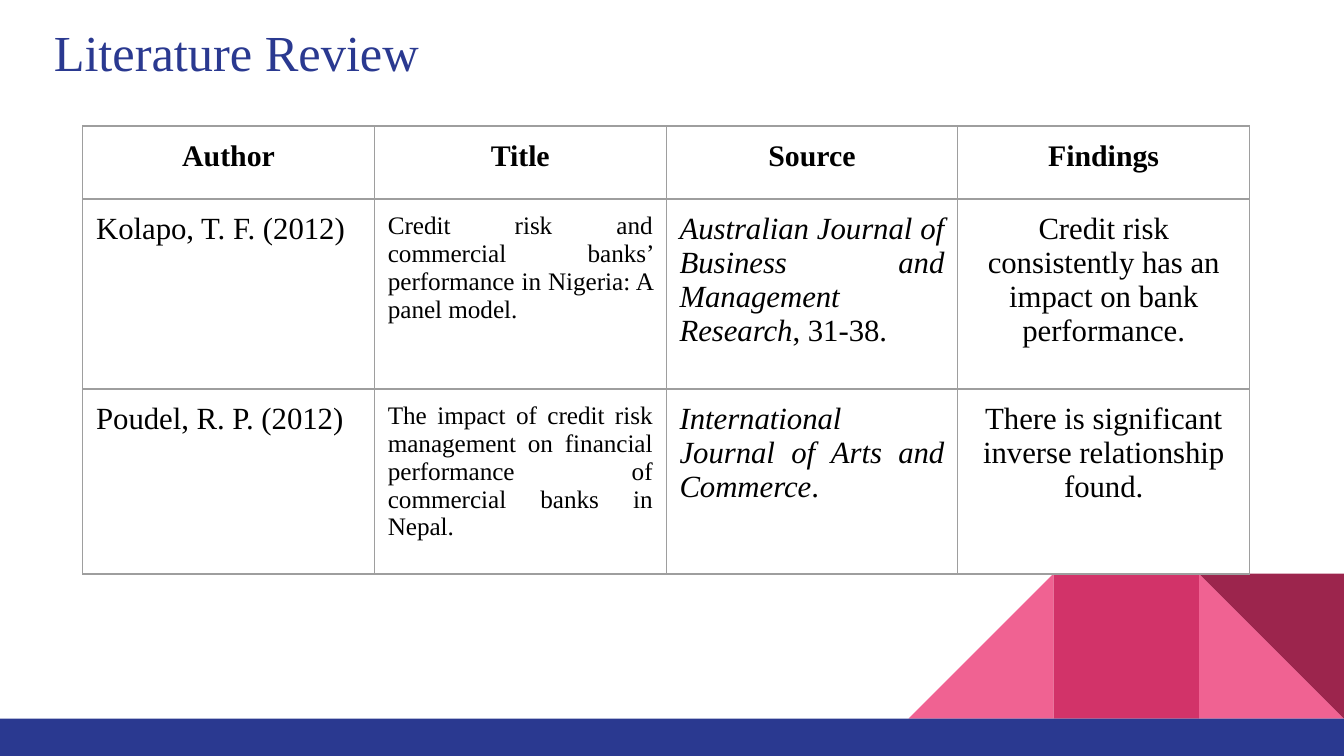
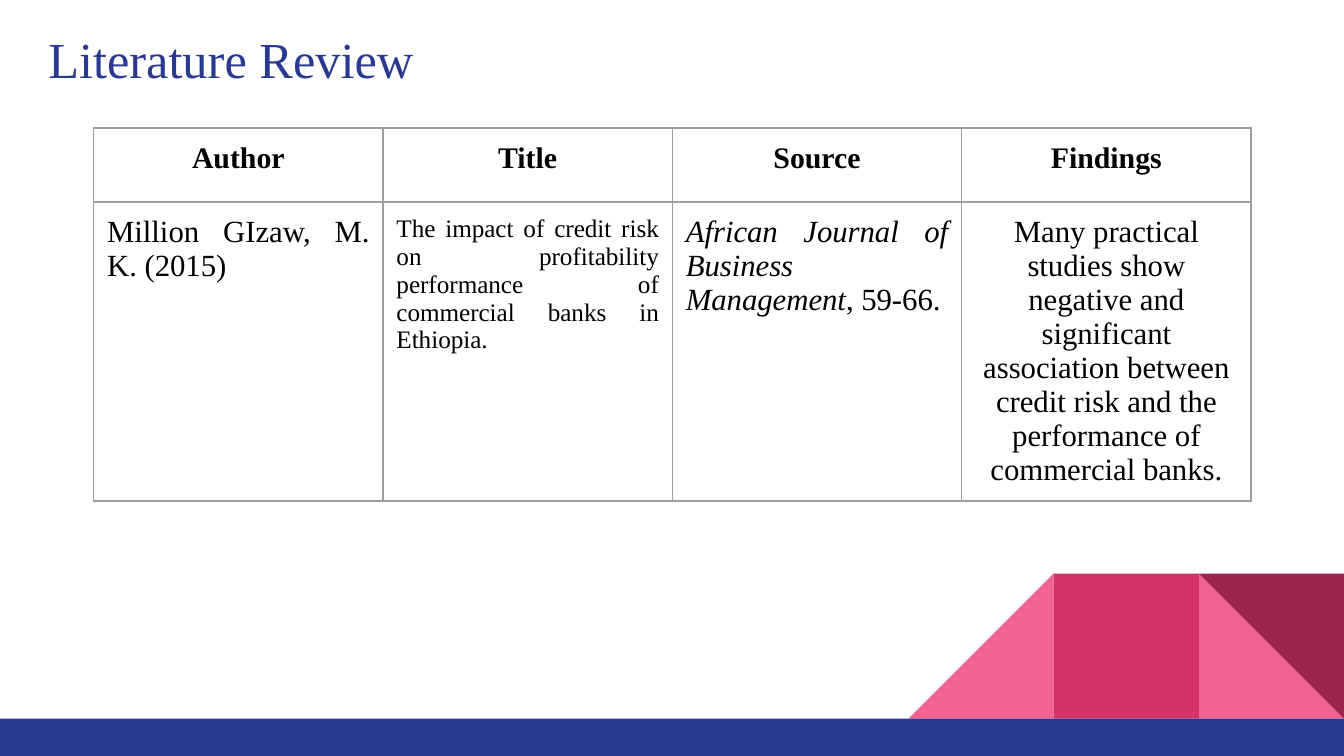
from dataclasses import dataclass

from lxml import etree
from pptx import Presentation
from pptx.dml.color import RGBColor
from pptx.enum.shapes import MSO_SHAPE
from pptx.enum.text import MSO_ANCHOR, MSO_AUTO_SIZE, PP_ALIGN
from pptx.oxml.ns import qn
from pptx.util import Pt

RECT, TRI = MSO_SHAPE.RECTANGLE, MSO_SHAPE.RIGHT_TRIANGLE
LEFT, MID, JUST = PP_ALIGN.LEFT, PP_ALIGN.CENTER, PP_ALIGN.JUSTIFY
BOTTOM, TOP = MSO_ANCHOR.BOTTOM, MSO_ANCHOR.TOP
FIXED = MSO_AUTO_SIZE.NONE


@dataclass
class Theme:
    font: str = "Times New Roman"
    navy: str = "2A3990"
    pink: str = "F06292"
    rose: str = "D23369"
    wine: str = "9C254D"
    ink: str = "000000"
    grid: str = "9E9E9E"
    title: float = 27
    head: float = 16
    body: float = 16.5
    small: float = 13.5
    inset: float = 7.2
    rule: float = 0.75


theme = Theme()
WIDE, HIGH = 720, 405
SIDE, FLOOR = 77.75, 385
PEAK = FLOOR - SIDE

DECOR = [
    (TRI, WIDE - SIDE, PEAK, SIDE, SIDE, 0, theme.pink),
    (TRI, WIDE - 3 * SIDE, PEAK, SIDE, SIDE, 270, theme.pink),
    (RECT, WIDE - 2 * SIDE, PEAK, SIDE, SIDE, 0, theme.rose),
    (TRI, WIDE - SIDE, PEAK, SIDE, SIDE, 180, theme.wine),
    (RECT, 0, FLOOR, WIDE, HIGH - FLOOR, 0, theme.navy),
]

HEADS = ["Author", "Title", "Source", "Findings"]
SIZES = [theme.body, theme.small, theme.body, theme.body]
ALIGNS = [JUST, JUST, JUST, MID]

PAGES = [
    {
        "title": (21.6, 3.6),
        "table": (44.3, 67.5),
        "col": 156.3,
        "rows": [39.1, 101.8, 99.1],
        "works": [
            ("Kolapo, T. F. (2012)",
             "Credit risk and commercial banks’ performance in Nigeria: A panel model.",
             ("Australian Journal of Business and Management Research", ", 31-38."),
             "Credit risk consistently has an impact on bank performance."),
            ("Poudel, R. P. (2012)",
             "The impact of credit risk management on financial performance of commercial banks in Nepal.",
             ("International Journal of Arts and Commerce", "."),
             "There is significant inverse relationship found."),
        ],
    },
    {
        "title": (18.7, 7.2),
        "table": (50.2, 68.6),
        "col": 155,
        "rows": [39.6, 38.2],
        "works": [
            ("Million GIzaw, M. K. (2015)",
             "The impact of credit risk on profitability performance of commercial banks in Ethiopia.",
             ("African Journal of Business Management", ", 59-66."),
             "Many practical studies show negative and significant association between "
             "credit risk and the performance of commercial banks."),
        ],
    },
]


def add_run(para, text, size, color, bold=False, slant=False):
    run = para.add_run()
    run.text = text
    font = run.font
    font.name, font.size = theme.font, Pt(size)
    font.bold, font.italic = bold, slant
    font.color.rgb = RGBColor.from_string(color)


def set_frame(cell):
    cell.margin_left = cell.margin_right = Pt(theme.inset)
    cell.margin_top = cell.margin_bottom = Pt(theme.inset)


deck = Presentation()
deck.slide_width, deck.slide_height = Pt(WIDE), Pt(HIGH)

for page in PAGES:
    slide = deck.slides.add_slide(deck.slide_layouts[5])

    for kind, x, y, w, h, turn, color in DECOR:
        shape = slide.shapes.add_shape(kind, Pt(x), Pt(y), Pt(w), Pt(h))
        shape.rotation = turn
        shape.shadow.inherit = False
        shape.fill.solid()
        shape.fill.fore_color.rgb = RGBColor.from_string(color)
        shape.line.fill.background()

    title = slide.shapes.title
    title.left, title.top = [Pt(n) for n in page["title"]]
    title.width, title.height = Pt(671), Pt(47.5)
    frame = title.text_frame
    set_frame(frame)
    frame.word_wrap, frame.auto_size = True, FIXED
    frame.vertical_anchor = BOTTOM
    para = frame.paragraphs[0]
    para.alignment = LEFT
    add_run(para, "Literature Review", theme.title, theme.navy)

    x, y = page["table"]
    rows, cols = len(page["rows"]), len(HEADS)
    table = slide.shapes.add_table(
        rows, cols, Pt(x), Pt(y), Pt(page["col"] * cols), Pt(sum(page["rows"]))
    ).table
    table.first_row = table.horz_banding = False
    for col in table.columns:
        col.width = Pt(page["col"])
    for row, tall in zip(table.rows, page["rows"]):
        row.height = Pt(tall)

    for r, texts in enumerate([HEADS] + page["works"]):
        for c, text in enumerate(texts):
            cell = table.cell(r, c)
            set_frame(cell)
            cell.vertical_anchor = TOP
            props = cell._tc.get_or_add_tcPr()
            for edge in ("lnL", "lnR", "lnT", "lnB"):
                line = etree.SubElement(props, qn("a:" + edge), w=str(Pt(theme.rule)))
                fill = etree.SubElement(line, qn("a:solidFill"))
                etree.SubElement(fill, qn("a:srgbClr"), val=theme.grid)
            cell.fill.background()

            para = cell.text_frame.paragraphs[0]
            para.alignment = ALIGNS[c] if r else MID
            if r == 0:
                add_run(para, text, theme.head, theme.ink, bold=True)
            elif isinstance(text, tuple):
                add_run(para, text[0], SIZES[c], theme.ink, slant=True)
                add_run(para, text[1], SIZES[c], theme.ink)
            else:
                add_run(para, text, SIZES[c], theme.ink)

deck.save("out.pptx")
